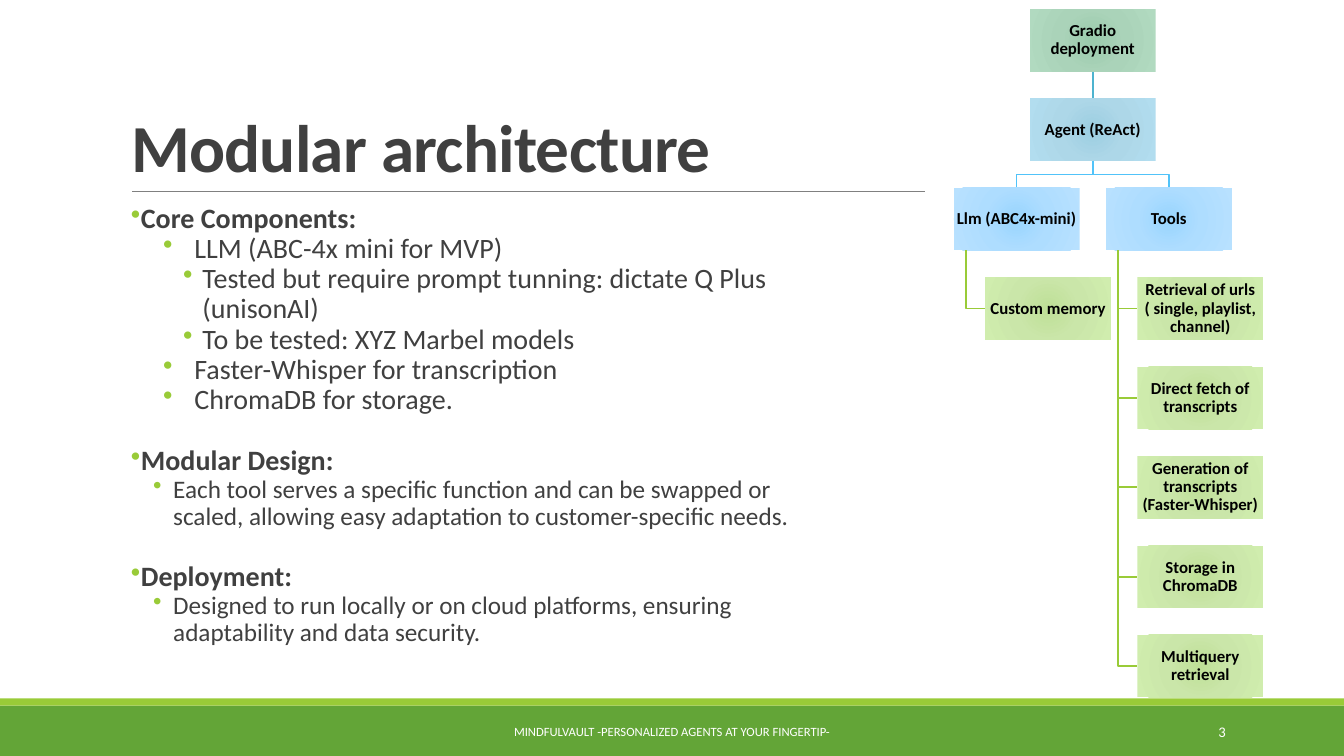
from lxml import etree
from pptx import Presentation
from pptx.dml.color import RGBColor
from pptx.enum.shapes import MSO_CONNECTOR, MSO_SHAPE
from pptx.enum.text import MSO_ANCHOR, PP_ALIGN
from pptx.oxml import parse_xml
from pptx.oxml.ns import qn
from pptx.util import Inches, Pt

RECTANGLE = MSO_SHAPE.RECTANGLE
STRAIGHT = MSO_CONNECTOR.STRAIGHT
MIDDLE, BOTTOM = MSO_ANCHOR.MIDDLE, MSO_ANCHOR.BOTTOM
LEFT, CENTER, RIGHT = PP_ALIGN.LEFT, PP_ALIGN.CENTER, PP_ALIGN.RIGHT

WIDTH, HEIGHT = 13.333, 7.5
FONT = "Calibri"
NAMESPACE = "http://schemas.openxmlformats.org/drawingml/2006/main"
COLORS = {
    "band": "63A537", "lime": "99CB38", "rule": "808080", "ink": "404040",
    "white": "FFFFFF", "black": "000000", "sky": "51C3F9", "teal": "4EB3CF",
}
GRADIENTS = {
    "deployment": ("9ACAAC", "AAD3B9", "B1DAC0"),
    "agent": ("9CCEE1", "ADD7E8", "B2DDEF"),
    "branch": ("99D5FE", "AEDDFF", "B8E1FF"),
    "leaf": ("BEDF97", "CAE6A9", "D0EDAE"),
}
GRADIENT_STOPS = (0, 45000, 100000)

NODE_WIDTH, NODE_HEIGHT, ROW_STEP = 1.25, 0.62, 0.887
BRANCH_OFFSET = 0.755
TRUNK_INSET = NODE_WIDTH / 10
LEAF_INDENT = NODE_WIDTH / 4
BRANCHES = [
    ("Llm (ABC4x-mini)", ["Custom memory"]),
    ("Tools", [
        "Retrieval of urls ( single, playlist, channel)",
        "Direct fetch of transcripts",
        "Generation of transcripts (Faster-Whisper)",
        "Storage in ChromaDB",
        "Multiquery retrieval",
    ]),
]

PARAGRAPH_STYLES = {
    "heading": {"level": 0, "margin": 0.1, "hanging": 0.1, "size": 20, "bold": True},
    "item": {"level": 1, "margin": 0.63, "hanging": 0.31, "size": 20, "bold": False},
    "subitem": {"level": 2, "margin": 0.71, "hanging": 0.19, "size": 20, "bold": False},
    "detail": {"level": 1, "margin": 0.42, "hanging": 0.2, "size": 18, "bold": False},
}
SECTION_GAP = 22
BODY = [
    ("heading", "Core Components:"),
    ("item", "LLM (ABC-4x mini for MVP)"),
    ("subitem", "Tested but require prompt tunning: dictate Q Plus (unisonAI)"),
    ("subitem", "To be tested: XYZ Marbel models"),
    ("item", "Faster-Whisper for transcription"),
    ("item", "ChromaDB for storage."),
    ("heading", "Modular Design:"),
    ("detail", "Each tool serves a specific function and can be swapped or scaled, "
               "allowing easy adaptation to customer-specific needs."),
    ("heading", "Deployment:"),
    ("detail", "Designed to run locally or on cloud platforms, ensuring "
               "adaptability and data security."),
]


def rgb(name):
    """Return the named colour of the palette."""
    return RGBColor.from_string(COLORS[name])


def format_paragraph(paragraph, size, color, bold=False, align=LEFT, spacing=1.0):
    """Apply font and paragraph settings to a paragraph and its runs."""
    paragraph.alignment = align
    paragraph.line_spacing = spacing
    paragraph.space_before = paragraph.space_after = Pt(0)
    for run in paragraph.runs:
        run.font.name = FONT
        run.font.size = Pt(size)
        run.font.bold = bold
        run.font.color.rgb = rgb(color)


def add_bullet(paragraph, margin, hanging):
    """Give a paragraph a lime bullet with a hanging indent."""
    properties = paragraph._p.get_or_add_pPr()
    properties.set("marL", str(Inches(margin)))
    properties.set("indent", str(-Inches(hanging)))
    bullet_color = etree.SubElement(properties, qn("a:buClr"))
    etree.SubElement(bullet_color, qn("a:srgbClr"), val=COLORS["lime"])
    etree.SubElement(properties, qn("a:buChar"), char="•")


def add_rectangle(slide, left, top, width, height):
    """Add a rectangle without outline or shadow."""
    shape = slide.shapes.add_shape(
        RECTANGLE, Inches(left), Inches(top), Inches(width), Inches(height))
    shape.shadow.inherit = False
    shape.line.fill.background()
    return shape


def add_text_box(slide, left, top, width, height):
    """Add a wrapping, vertically centred text box and return its frame."""
    box = slide.shapes.add_textbox(Inches(left), Inches(top), Inches(width), Inches(height))
    frame = box.text_frame
    frame.word_wrap = True
    frame.vertical_anchor = MIDDLE
    return frame


def add_line(slide, start, end, color, weight):
    """Add a straight line between two points."""
    line = slide.shapes.add_connector(STRAIGHT, *map(Inches, start + end))
    line.line.color.rgb = rgb(color)
    line.line.width = Pt(weight)
    etree.SubElement(line._element.spPr, qn("a:effectLst"))


def add_elbow(slide, points, color):
    """Add an open angled line through the given points."""
    start, *others = [(Inches(x), Inches(y)) for x, y in points]
    builder = slide.shapes.build_freeform(*start, scale=1.0)
    builder.add_line_segments(others, close=False)
    elbow = builder.convert_to_shape()
    elbow.shadow.inherit = False
    elbow.fill.background()
    elbow.line.color.rgb = rgb(color)
    elbow.line.width = Pt(1.25)


def add_node(slide, left, top, text, gradient):
    """Add one chart node with a radial gradient and bold text."""
    shape = add_rectangle(slide, left, top, NODE_WIDTH, NODE_HEIGHT)
    stops = "".join(
        f'<a:gs pos="{position}"><a:srgbClr val="{color}"/></a:gs>'
        for position, color in zip(GRADIENT_STOPS, GRADIENTS[gradient]))
    fill = parse_xml(
        f'<a:gradFill xmlns:a="{NAMESPACE}" rotWithShape="1"><a:gsLst>{stops}</a:gsLst>'
        '<a:path path="circle"><a:fillToRect l="100000" t="100000" r="100000" b="100000"/>'
        '</a:path></a:gradFill>')
    shape._element.spPr.find(qn("a:prstGeom")).addnext(fill)
    frame = shape.text_frame
    frame.word_wrap = True
    frame.vertical_anchor = MIDDLE
    frame.margin_left = frame.margin_right = Inches(0.01)
    frame.margin_top = frame.margin_bottom = Inches(0.01)
    frame.text = text
    format_paragraph(frame.paragraphs[0], 12, "black", True, CENTER, 0.9)


def add_architecture(slide, center, top):
    """Draw the architecture tree below the given top centre point."""
    rows = [top + ROW_STEP * row for row in range(8)]
    root_left = center - NODE_WIDTH / 2
    agent_bottom = rows[1] + NODE_HEIGHT
    fork = (agent_bottom + rows[2]) / 2
    add_line(slide, (center, rows[0] + NODE_HEIGHT), (center, rows[1]), "teal", 1.25)
    add_node(slide, root_left, rows[0], "Gradio deployment", "deployment")
    add_node(slide, root_left, rows[1], "Agent (ReAct)", "agent")
    for side, (branch, leaves) in zip((-1, 1), BRANCHES):
        branch_center = center + side * BRANCH_OFFSET
        left = branch_center - NODE_WIDTH / 2
        trunk, leaf_left = left + TRUNK_INSET, left + LEAF_INDENT
        add_elbow(slide, [(center, agent_bottom), (center, fork),
                          (branch_center, fork), (branch_center, rows[2])], "sky")
        add_node(slide, left, rows[2], branch, "branch")
        for leaf, leaf_top in zip(leaves, rows[3:]):
            middle = leaf_top + NODE_HEIGHT / 2
            add_elbow(slide, [(trunk, rows[2] + NODE_HEIGHT), (trunk, middle),
                              (leaf_left, middle)], "lime")
            add_node(slide, leaf_left, leaf_top, leaf, "leaf")


def add_title(slide, left, top, width, height):
    """Place the title and the rule below it."""
    title = slide.shapes.title
    title.left, title.top = Inches(left), Inches(top)
    title.width, title.height = Inches(width), Inches(height)
    title.text_frame.text = "Modular architecture"
    title.text_frame.vertical_anchor = BOTTOM
    paragraph = title.text_frame.paragraphs[0]
    format_paragraph(paragraph, 48, "ink", True, LEFT, 0.85)
    paragraph.runs[0]._r.get_or_add_rPr().set("spc", "-50")
    bottom = top + height
    add_line(slide, (left + 0.11, bottom), (left + width - 0.18, bottom), "rule", 0.5)


def add_body(slide, left, top, width, height):
    """Write the bulleted sections into the given box."""
    frame = add_text_box(slide, left, top, width, height)
    for index, (style_name, text) in enumerate(BODY):
        style = PARAGRAPH_STYLES[style_name]
        paragraph = frame.add_paragraph() if index else frame.paragraphs[0]
        paragraph.text = text
        paragraph.level = style["level"]
        format_paragraph(paragraph, style["size"], "ink", style["bold"], LEFT, 0.9)
        if index and style_name == "heading":
            paragraph.space_before = Pt(SECTION_GAP)
        add_bullet(paragraph, style["margin"], style["hanging"])


def add_footer(slide, top, height):
    """Draw the footer bands with the footer text and slide number."""
    for color, band_top, band_height in (("band", top, height), ("lime", top - 0.07, 0.07)):
        band = add_rectangle(slide, 0, band_top, WIDTH, band_height)
        band.fill.solid()
        band.fill.fore_color.rgb = rgb(color)
    for text, left, width, size, align in (
            ("MINDFULVAULT -PERSONALIZED AGENTS AT YOUR FINGERTIP-", 4.03, 5.27, 9, CENTER),
            ("3", 10.83, 1.43, 10.5, RIGHT)):
        frame = add_text_box(slide, left, top + 0.06, width, 0.4)
        frame.text = text
        format_paragraph(frame.paragraphs[0], size, "white", align=align)


def main():
    """Build the slide and save the presentation."""
    presentation = Presentation()
    presentation.slide_width, presentation.slide_height = Inches(WIDTH), Inches(HEIGHT)
    slide = presentation.slides.add_slide(presentation.slide_layouts[5])
    add_footer(slide, 7, 0.5)
    add_title(slide, 1.2, 0.31, 8.16, 1.59)
    add_body(slide, 1.2, 1.93, 6.87, 4.58)
    add_architecture(slide, 10.84, 0.09)
    presentation.save("out.pptx")


if __name__ == "__main__":
    main()
